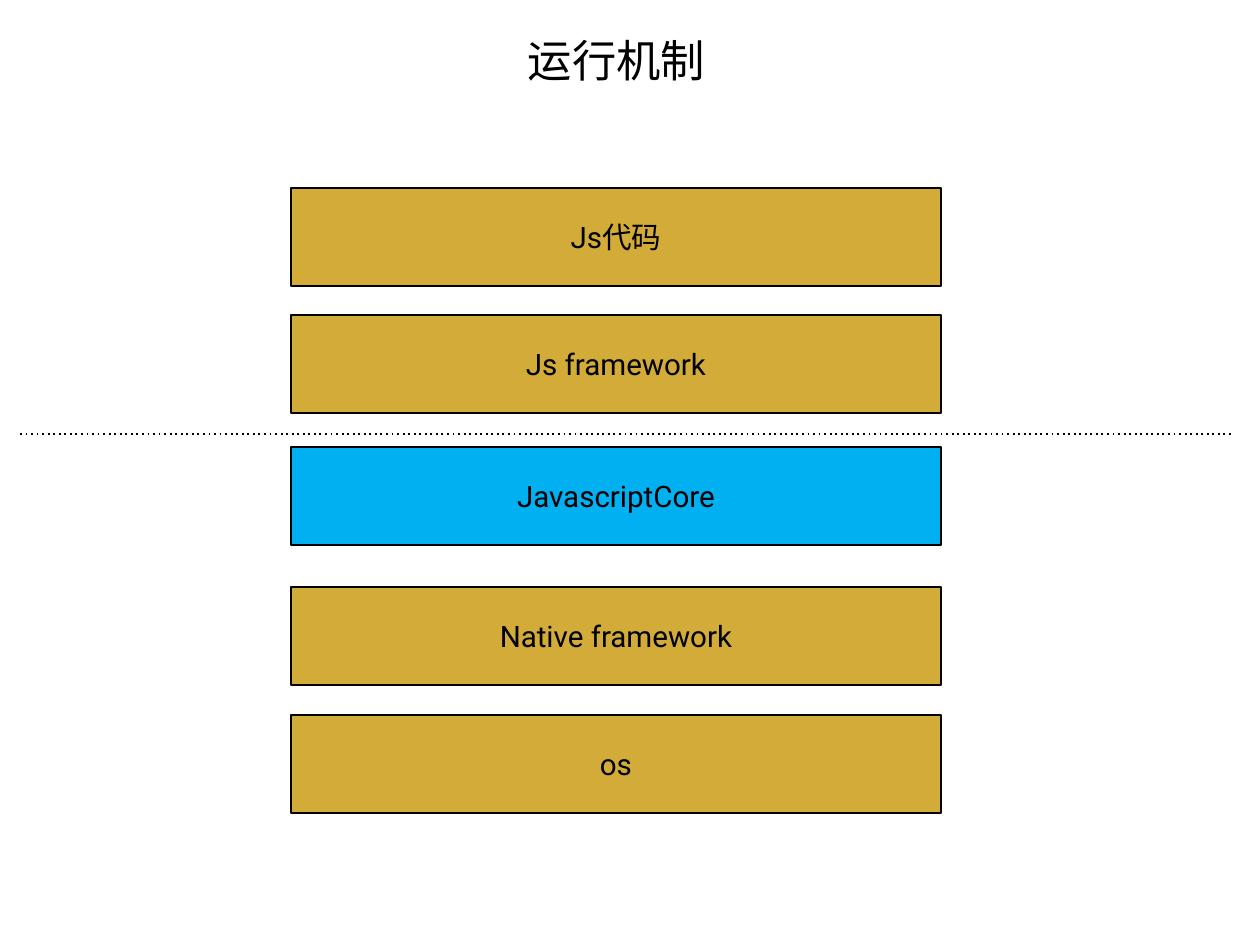
from lxml import etree
from pptx import Presentation
from pptx import util as u
from pptx.dml.color import RGBColor
from pptx.enum import shapes, text
from pptx.oxml.ns import qn

SLIDE_SIZE = (1260, 945)
TITLE = "运行机制"
TITLE_BOX = (522, 28, 189, 64)
GOLD, BLUE, BLACK = "D3AB39", "00B0F0", "000000"
LAYERS = [  # label, top, fill
    ("Js代码", 188, GOLD),
    ("Js framework", 315, GOLD),
    ("JavascriptCore", 447, BLUE),
    ("Native framework", 587, GOLD),
    ("os", 715, GOLD),
]
LAYER_LEFT, LAYER_WIDTH, LAYER_HEIGHT = 291, 650, 98
DIVIDER_LEFT, DIVIDER_RIGHT, DIVIDER_Y = 20, 1234, 434
INSET = 5
FONT = "Roboto"


def px(length):
    """Turn pixels into EMU."""
    return u.Emu(round(length * 914400 / 88.6))


def color(hex_code):
    """Turn a hex string into a colour."""
    return RGBColor.from_string(hex_code)


def write(box, words, size=24, ink=BLACK, wrap=True):
    """Put one centred line of text into a shape or text box."""
    frame = box.text_frame
    frame.word_wrap = wrap
    frame.vertical_anchor = text.MSO_ANCHOR.MIDDLE
    frame.margin_left = frame.margin_right = px(INSET)
    frame.margin_top = frame.margin_bottom = px(INSET)
    para = frame.paragraphs[0]
    para.alignment = text.PP_ALIGN.CENTER
    span = para.add_run()
    span.text = words
    span.font.name = FONT
    span.font.size = u.Pt(size)
    span.font.color.rgb = color(ink)


def add_layer(page, label, top, fill):
    """Draw one labelled layer of the stack."""
    place = map(px, (LAYER_LEFT, top, LAYER_WIDTH, LAYER_HEIGHT))
    box = page.shapes.add_shape(shapes.MSO_SHAPE.RECTANGLE, *place)
    box.shadow.inherit = False
    box.fill.solid()
    box.fill.fore_color.rgb = color(fill)
    box.line.color.rgb = color(BLACK)
    box.line.width = u.Pt(2)
    write(box, label)


def add_divider(page):
    """Draw the dotted line across the page."""
    ends = map(px, (DIVIDER_LEFT, DIVIDER_Y, DIVIDER_RIGHT, DIVIDER_Y))
    divider = page.shapes.add_connector(shapes.MSO_CONNECTOR.STRAIGHT, *ends)
    divider.line.color.rgb = color(BLACK)
    divider.line.width = u.Pt(1.5)
    outline = divider.line._get_or_add_ln()
    dashes = etree.SubElement(outline, qn("a:custDash"))
    etree.SubElement(dashes, qn("a:ds"), d="100000", sp="200000")
    etree.SubElement(divider._element.spPr, qn("a:effectLst"))


deck = Presentation()
deck.slide_width, deck.slide_height = map(px, SLIDE_SIZE)
page = deck.slides.add_slide(deck.slide_layouts[6])

title = page.shapes.add_textbox(*map(px, TITLE_BOX))
write(title, TITLE, size=36, wrap=False)
for layer in LAYERS:
    add_layer(page, *layer)
add_divider(page)

deck.save("out.pptx")
